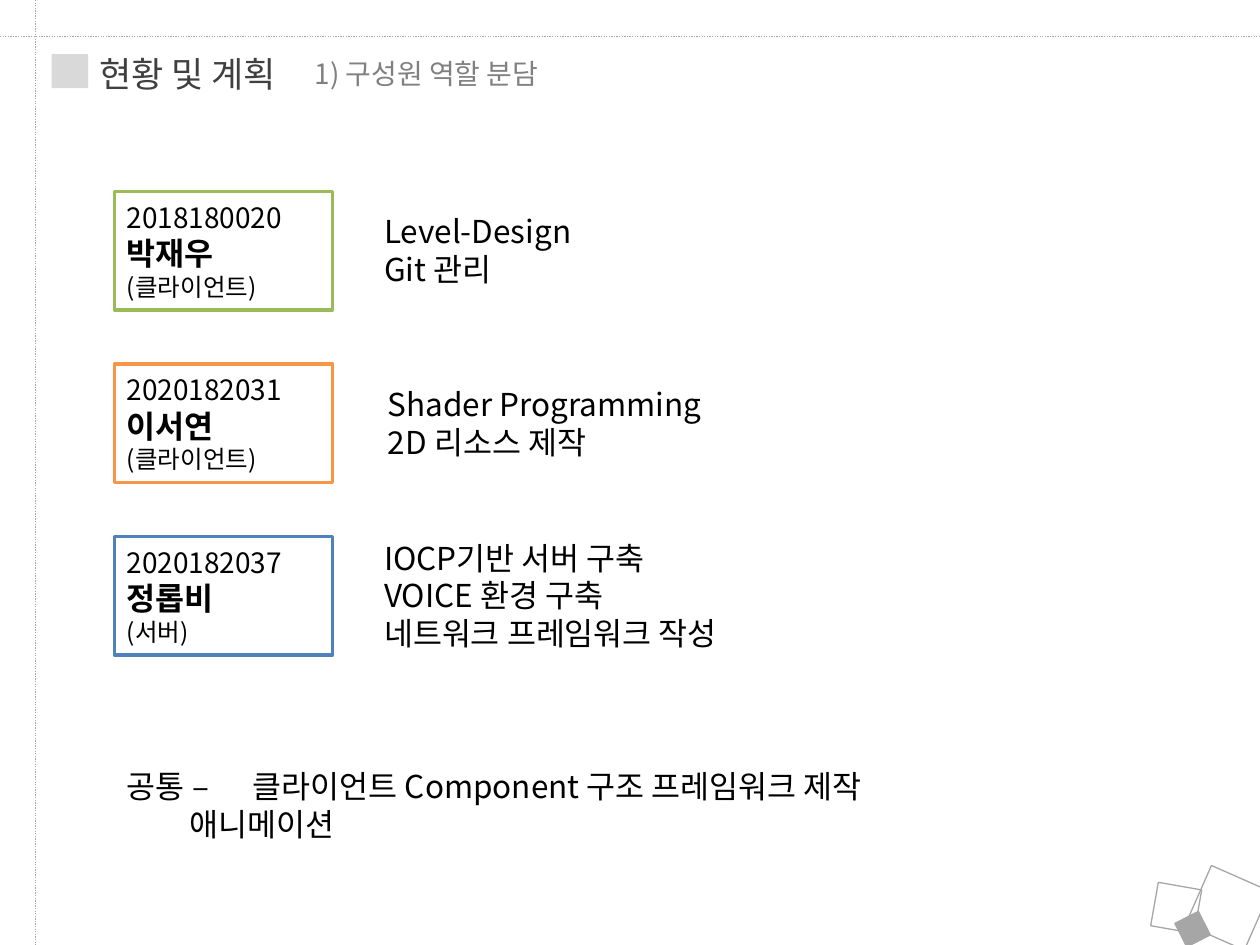
import pptx
import pptx.dml.color
import pptx.enum.dml
import pptx.enum.shapes
import pptx.enum.text
import pptx.oxml.ns
import pptx.util
from lxml import etree

Inches, Pt = pptx.util.Inches, pptx.util.Pt
RECT = pptx.enum.shapes.MSO_SHAPE.RECTANGLE
ANCHOR = pptx.enum.text.MSO_ANCHOR
qn = pptx.oxml.ns.qn

THEME = {
    "font": "Noto Sans CJK KR",
    "ink": "000000", "title": "404040", "sub": "808080",
    "mark": "D9D9D9", "grey": "A6A6A6", "paper": "FFFFFF",
    "title_pt": 20, "sub_pt": 16, "body_pt": 18,
    "card_pt": (16, 18, 14), "rule_pt": 0.75, "edge_pt": 2,
}
TITLE = "현황 및 계획"
SUB = "1) 구성원 역할 분담"
# card lines, edge colour, role left, role lines
TEAM = [
    (("2018180020", "박재우", "(클라이언트)"), "9BBB59", 2.95,
     ("Level-Design", "Git 관리")),
    (("2020182031", "이서연", "(클라이언트)"), "F79646", 2.98,
     ("Shader Programming", "2D 리소스 제작")),
    (("2020182037", "정롭비", "(서버)"), "4F81BD", 2.95,
     ("IOCP기반 서버 구축", "VOICE 환경 구축", "네트워크 프레임워크 작성")),
]
COMMON = ("공통 – \t클라이언트 Component 구조 프레임워크 제작", "\t애니메이션")
RULES = [(0.28, 0, 0.28, 7.5), (0, 0.29, 10, 0.29)]
# left, top, side, turn, fill
SQUARES = [
    (9.16, 7.03, 0.35, 10, None),
    (9.49, 6.95, 0.51, 23.8, None),
    (9.36, 7.27, 0.21, 63.1, THEME["grey"]),
]
CARD_LEFT, CARD_TOP, CARD_WIDE, CARD_HIGH, CARD_STEP = 0.91, 1.52, 1.73, 0.94, 1.37
TEXT_WIDE, LINE_HIGH, TEXT_PAD = 6.74, 0.3, 0.11


def rgb(code):
    return pptx.dml.color.RGBColor.from_string(code)


def write(shape, lines, sizes, color, anchor=ANCHOR.TOP):
    """Fill a shape with left-aligned lines, one point size for each."""
    frame = shape.text_frame
    frame.text = "\n".join(lines)
    frame.word_wrap = True
    frame.vertical_anchor = anchor
    for para, size in zip(frame.paragraphs, sizes):
        para.alignment = pptx.enum.text.PP_ALIGN.LEFT
        for run in para.runs:
            font = run.font
            font.size, font.name = Pt(size), THEME["font"]
            font.color.rgb = rgb(color)
            # East Asian glyphs take their own typeface setting
            east = etree.Element(qn("a:ea"), typeface=THEME["font"])
            font._element.find(qn("a:latin")).addnext(east)


def add_text(slide, box, lines, size, color):
    shape = slide.shapes.add_textbox(*map(Inches, box))
    write(shape, lines, [size] * len(lines), color)


def add_box(shapes, box, fill=None, edge=None, width=THEME["rule_pt"]):
    shape = shapes.add_shape(RECT, *map(Inches, box))
    shape.shadow.inherit = False
    if fill:
        shape.fill.solid()
        shape.fill.fore_color.rgb = rgb(fill)
    else:
        shape.fill.background()
    if edge:
        shape.line.color.rgb = rgb(edge)
        shape.line.width = Pt(width)
    else:
        shape.line.fill.background()
    return shape


def add_rule(slide, ends):
    rule = slide.shapes.add_connector(
        pptx.enum.shapes.MSO_CONNECTOR.STRAIGHT, *map(Inches, ends))
    rule.line.color.rgb = rgb(THEME["grey"])
    rule.line.width = Pt(THEME["rule_pt"])
    rule.line.dash_style = pptx.enum.dml.MSO_LINE.ROUND_DOT
    etree.SubElement(rule._element.spPr, qn("a:effectLst"))


def add_member(slide, row, card, edge, left, roles):
    top = CARD_TOP + row * CARD_STEP
    box = add_box(slide.shapes, (CARD_LEFT, top, CARD_WIDE, CARD_HIGH),
                  THEME["paper"], edge, THEME["edge_pt"])
    write(box, card, THEME["card_pt"], THEME["ink"], ANCHOR.MIDDLE)
    box.text_frame.paragraphs[1].runs[0].font.bold = True
    high = len(roles) * LINE_HIGH + TEXT_PAD
    add_text(slide, (left, top + (CARD_HIGH - high) / 2, TEXT_WIDE, high),
             roles, THEME["body_pt"], THEME["ink"])


def main():
    deck = pptx.Presentation()
    deck.slide_width, deck.slide_height = Inches(10), Inches(7.5)
    slide = deck.slides.add_slide(deck.slide_layouts[6])

    add_box(slide.shapes, (0.41, 0.43, 0.29, 0.27), THEME["mark"])
    add_text(slide, (0.69, 0.37, 1.94, 0.44), [TITLE],
             THEME["title_pt"], THEME["title"])
    for ends in RULES:
        add_rule(slide, ends)
    group = slide.shapes.add_group_shape()
    for left, top, side, turn, fill in SQUARES:
        square = add_box(group.shapes, (left, top, side, side), fill, THEME["grey"])
        square.rotation = turn
    add_text(slide, (2.4, 0.4, 2.44, 0.37), [SUB], THEME["sub_pt"], THEME["sub"])

    for row, member in enumerate(TEAM):
        add_member(slide, row, *member)
    add_text(slide, (CARD_LEFT, 6.04, TEXT_WIDE, 1.01), COMMON,
             THEME["body_pt"], THEME["ink"])
    deck.save("out.pptx")


if __name__ == "__main__":
    main()
